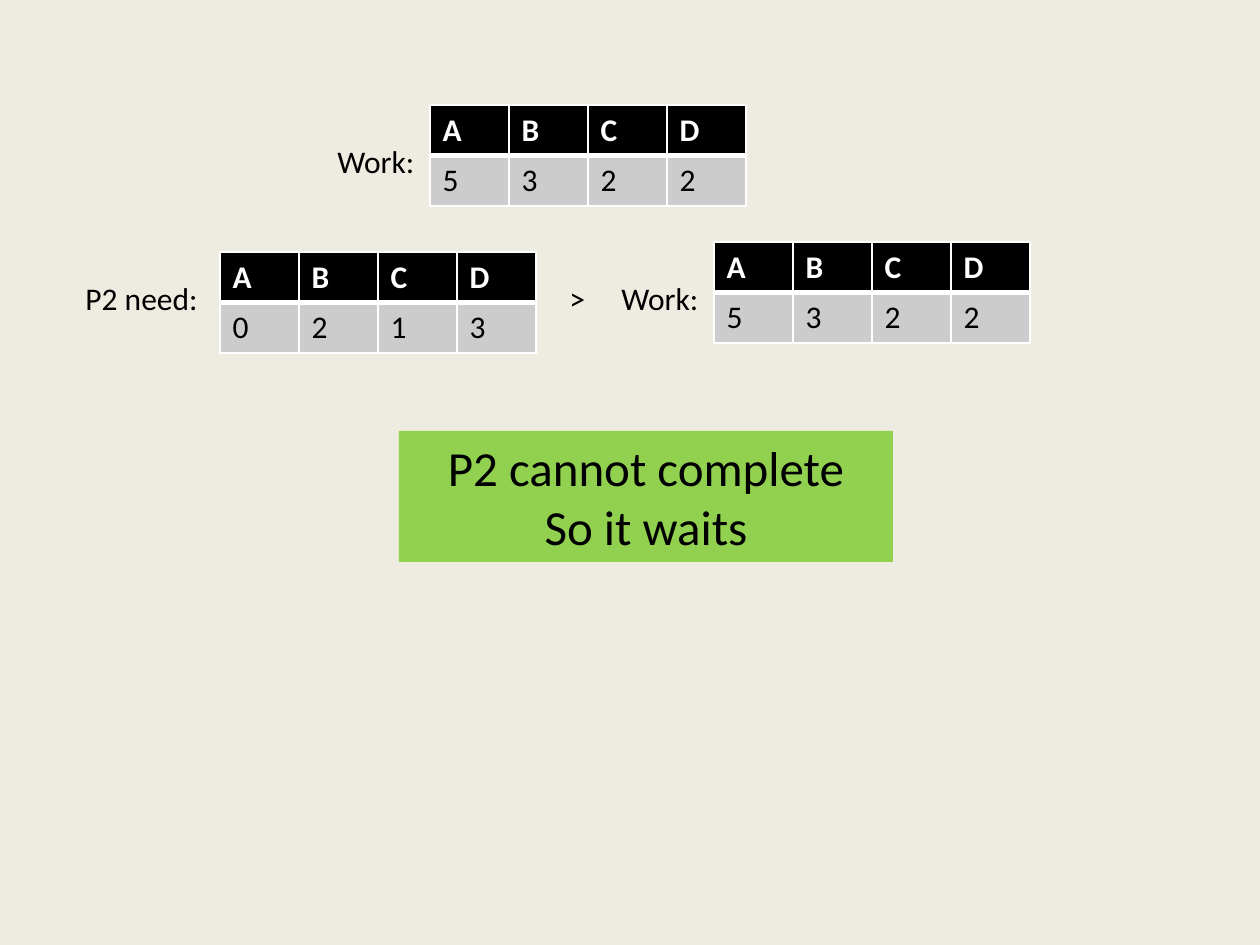
"""Builds a slide comparing the need of P2 with the available work."""
from lxml.etree import SubElement
from pptx import Presentation
from pptx.dml.color import RGBColor
from pptx.enum.shapes import MSO_SHAPE
from pptx.enum.text import MSO_ANCHOR, MSO_AUTO_SIZE, PP_ALIGN
from pptx.oxml.ns import qn
from pptx.util import Pt

PX = 914400 // 126
BLACK = RGBColor(0x00, 0x00, 0x00)
WHITE = RGBColor(0xFF, 0xFF, 0xFF)
GRAY = RGBColor(0xCC, 0xCC, 0xCC)
GREEN = RGBColor(0x92, 0xD0, 0x50)
CREAM = RGBColor(0xEE, 0xEC, 0xE1)

RESOURCES = "ABCD"
COL_W, ROW_H = 79, 50
LABELS = [
    ("Work:", 325, 136, 105),
    ("P2 need:", 73, 273, 147),
    (">", 557, 273, 63),
    ("Work:", 609, 273, 105),
]
TABLES = [
    ((0, 2, 1, 3), 220, 252),
    ((5, 3, 2, 2), 714, 242),
    ((5, 3, 2, 2), 430, 105),
]
VERDICT = ["P2 cannot complete", "So it waits"]
VERDICT_BOX = (399, 431, 494, 131)


def scaled(*lengths):
    return [n * PX for n in lengths]


def write(tf, lines, size=18, color=BLACK, bold=False, align=PP_ALIGN.LEFT):
    for i, line in enumerate(lines):
        p = tf.paragraphs[0] if i == 0 else tf.add_paragraph()
        p.alignment = align
        r = p.add_run()
        r.text = line
        r.font.name = "Calibri"
        r.font.size = Pt(size)
        r.font.bold = bold
        r.font.color.rgb = color


def add_borders(cell, **widths):
    tcPr = cell._tc.get_or_add_tcPr()
    for side in "LRTB":
        ln = SubElement(tcPr, qn(f"a:ln{side}"), w=str(Pt(widths.get(side, 1))))
        fill = SubElement(ln, qn("a:solidFill"))
        SubElement(fill, qn("a:srgbClr"), val=str(WHITE))


def add_resource_table(s, values, x, y):
    rows = [
        (RESOURCES, BLACK, WHITE, True, {"B": 3}),
        (values, GRAY, BLACK, False, {"T": 3}),
    ]
    cols = len(RESOURCES)
    box = scaled(x, y, cols * COL_W, len(rows) * ROW_H)
    table = s.shapes.add_table(len(rows), cols, *box).table
    for col in table.columns:
        col.width = COL_W * PX
    for i, (texts, fill, color, bold, widths) in enumerate(rows):
        table.rows[i].height = ROW_H * PX
        for j, text in enumerate(texts):
            cell = table.cell(i, j)
            add_borders(cell, **widths)
            cell.fill.solid()
            cell.fill.fore_color.rgb = fill
            write(cell.text_frame, [str(text)], color=color, bold=bold)


prs = Presentation()
prs.slide_width, prs.slide_height = scaled(1260, 945)
s = prs.slides.add_slide(prs.slide_layouts[6])
s.background.fill.solid()
s.background.fill.fore_color.rgb = CREAM

for text, x, y, w in LABELS:
    tf = s.shapes.add_textbox(*scaled(x, y, w, ROW_H)).text_frame
    tf.word_wrap = True
    tf.auto_size = MSO_AUTO_SIZE.SHAPE_TO_FIT_TEXT
    write(tf, [text])

for values, x, y in TABLES:
    add_resource_table(s, values, x, y)

sp = s.shapes.add_shape(MSO_SHAPE.RECTANGLE, *scaled(*VERDICT_BOX))
sp.shadow.inherit = False
sp.fill.solid()
sp.fill.fore_color.rgb = GREEN
sp.line.fill.background()
sp.text_frame.word_wrap = True
sp.text_frame.vertical_anchor = MSO_ANCHOR.TOP
write(sp.text_frame, VERDICT, size=28, align=PP_ALIGN.CENTER)

prs.save("out.pptx")
